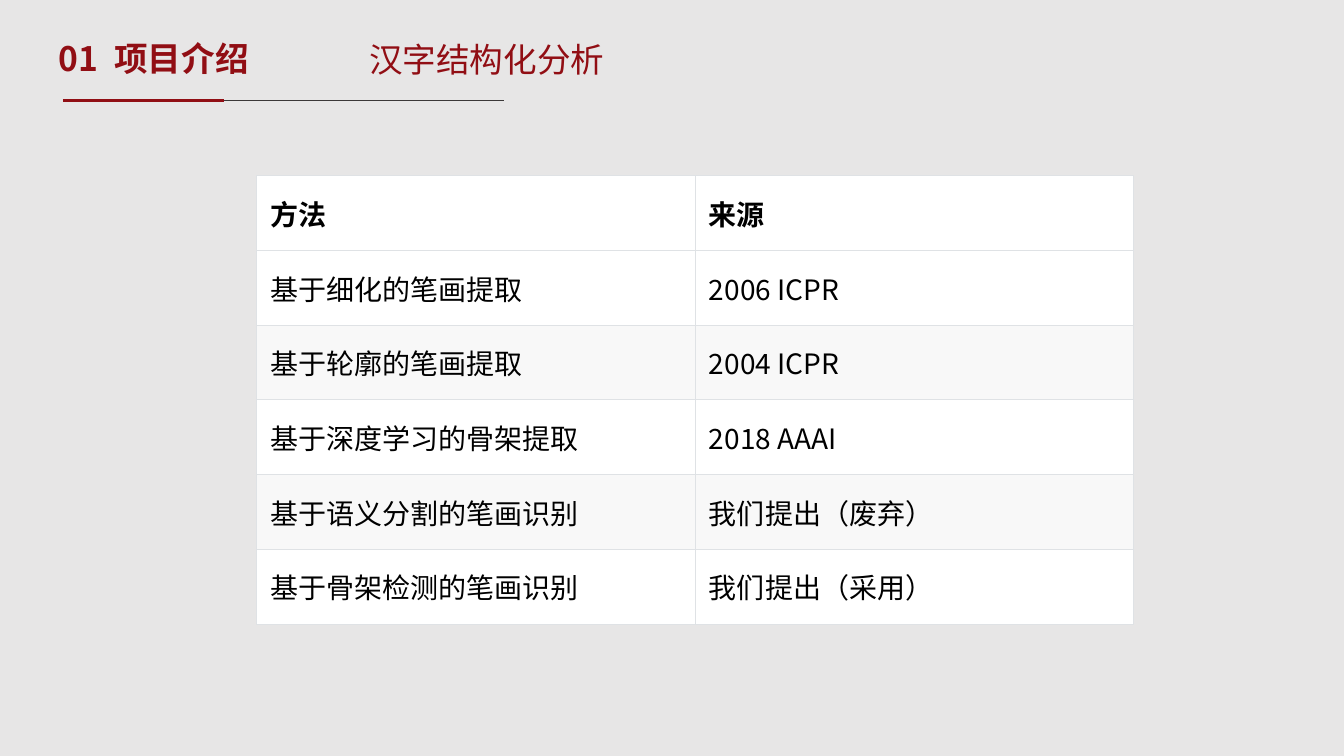
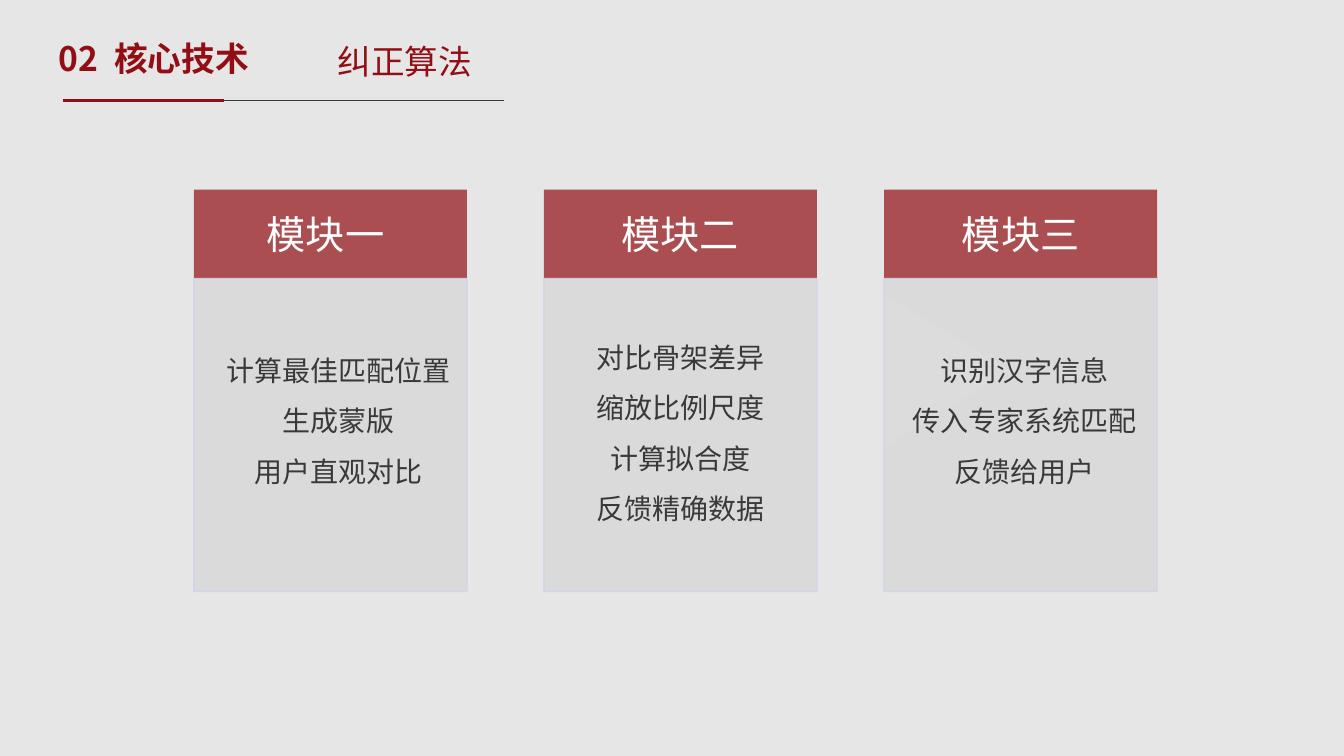
from lxml import etree
from pptx import Presentation, util as u
from pptx.dml import color
from pptx.enum import shapes, text
from pptx.oxml import ns

SANS = "Noto Sans CJK SC"
RED, DARK, BLACK, WHITE = "910E14", "3B3838", "000000", "FFFFFF"
PAPER, CARD, CARD_EDGE = "E7E6E6", "D9D9D9", "CFD5EA"
BAND, GRID = "F8F8F8", "DFE2E5"

HEADING = {"size": u.Pt(24), "name": SANS, "bold": True}
TOPIC = HEADING | {"bold": False}
CARD_TITLE = {"size": u.Pt(28), "name": SANS}
BODY = {"size": u.Pt(20), "name": SANS, "bold": False}

LEFT, CENTER = text.PP_ALIGN.LEFT, text.PP_ALIGN.CENTER
MIDDLE = text.MSO_ANCHOR.MIDDLE

METHODS = [
    ("方法", "来源"),
    ("基于细化的笔画提取", "2006 ICPR"),
    ("基于轮廓的笔画提取", "2004 ICPR"),
    ("基于深度学习的骨架提取", "2018 AAAI"),
    ("基于语义分割的笔画识别", "我们提出（废弃）"),
    ("基于骨架检测的笔画识别", "我们提出（采用）"),
]
MODULES = [
    {"left": 138.5, "title": "模块一", "title_box": (22, 11.5, 144, 41),
     "body_box": (12, 101.5, 183, 112),
     "lines": ["计算最佳匹配位置", "生成蒙版", "用户直观对比"]},
    {"left": 388.5, "title": "模块二", "title_box": (25.5, 11, 144, 41),
     "body_box": (17.5, 92, 160, 148),
     "lines": ["对比骨架差异", "缩放比例尺度", "计算拟合度", "反馈精确数据"]},
    {"left": 631.5, "title": "模块三", "title_box": (25.5, 11, 144, 41),
     "body_box": (13, 101.5, 175, 112),
     "lines": ["识别汉字信息", "传入专家系统匹配反馈给用户"]},
]


def rgb(value):
    """Turn a hex string into a colour."""
    return color.RGBColor.from_string(value)


def points(*values):
    """Turn numbers into lengths in points."""
    return [u.Pt(value) for value in values]


def add_child(parent, tag, **attributes):
    """Append a drawing element with attributes."""
    return etree.SubElement(parent, ns.qn(tag), attributes)


def paint(fill, value, opacity=100):
    """Fill with one colour at a percentage of opacity."""
    fill.solid()
    fill.fore_color.rgb = rgb(value)
    if opacity < 100:
        for node in fill._xPr.iter(ns.qn("a:srgbClr")):
            add_child(node, "a:alpha", val=str(opacity * 1000))


def write(frame, lines, style, ink, align=LEFT, spacing=1.0):
    """Write formatted paragraphs into a text frame."""
    frame.word_wrap = True
    for index, line in enumerate(lines):
        paragraph = frame.add_paragraph() if index else frame.paragraphs[0]
        paragraph.alignment = align
        paragraph.line_spacing = spacing
        run = paragraph.add_run()
        run.text = line
        for name, value in style.items():
            setattr(run.font, name, value)
        run.font.color.rgb = rgb(ink)
        add_child(run._r.get_or_add_rPr(), "a:ea", typeface=style["name"])


def add_label(slide, box, lines, style, ink, align=LEFT, spacing=1.0, anchor=None):
    """Add a text box."""
    shape = slide.shapes.add_textbox(*points(*box))
    write(shape.text_frame, lines, style, ink, align, spacing)
    shape.text_frame.vertical_anchor = anchor


def add_panel(slide, kind, box, fill, opacity=100, edge=None):
    """Add a preset shape without shadow."""
    shape = slide.shapes.add_shape(kind, *points(*box))
    shape.shadow.inherit = False
    paint(shape.fill, fill, opacity)
    if edge:
        paint(shape.line.fill, edge, opacity)
        shape.line.width = u.Pt(1)
    else:
        shape.line.fill.background()
    return shape


def add_rule(slide, left, top, length, ink, weight):
    """Draw a horizontal line."""
    line = slide.shapes.add_connector(
        shapes.MSO_CONNECTOR.STRAIGHT, *points(left, top, left + length, top))
    line.line.color.rgb = rgb(ink)
    line.line.width = u.Pt(weight)
    add_child(line._element.spPr, "a:effectLst")


def add_header(slide, number, section, topic, topic_left, topic_top):
    """Place the section title, topic and rules."""
    title = slide.shapes.title
    box = points(34.5, 19, 713, 49)
    for name, value in zip(("left", "top", "width", "height"), box):
        setattr(title, name, value)
    frame = title.text_frame
    frame.vertical_anchor = MIDDLE
    tabs = add_child(frame.paragraphs[0]._p.get_or_add_pPr(), "a:tabLst")
    add_child(tabs, "a:tab", pos=str(u.Pt(40)), algn="l")
    write(frame, [f"{number}\t{section}"], HEADING, RED, spacing=0.9)
    add_rule(slide, 45, 71.5, 315, DARK, 0.5)
    add_rule(slide, 45, 71.5, 115, RED, 2.25)
    add_label(slide, (topic_left, topic_top, 400, 49), [topic], TOPIC, RED,
              spacing=0.9, anchor=MIDDLE)


def add_borders(cell):
    """Draw the four edges of a table cell."""
    properties = cell._tc.get_or_add_tcPr()
    for side in "LRTB":
        edge = add_child(properties, f"a:ln{side}", w=str(u.Pt(0.75)))
        add_child(add_child(edge, "a:solidFill"), "a:srgbClr", val=GRID)


def add_methods(slide, box, rows):
    """Place the table of methods and sources."""
    table = slide.shapes.add_table(len(rows), len(rows[0]), *points(*box)).table
    table.horz_banding = False
    margins = dict(zip(("margin_left", "margin_top", "margin_right", "margin_bottom"),
                       points(9.75, 4.5, 9.75, 4.5)))
    for row_index, row in enumerate(rows):
        table.rows[row_index].height = u.Pt(box[3] / len(rows))
        for column_index, value in enumerate(row):
            cell = table.cell(row_index, column_index)
            for name, margin in margins.items():
                setattr(cell, name, margin)
            cell.vertical_anchor = MIDDLE
            add_borders(cell)
            banded = row_index and row_index % 2 == 0
            paint(cell.fill, BAND if banded else WHITE)
            write(cell.text_frame, [value], BODY | {"bold": row_index == 0}, BLACK)


def add_module(slide, box, module):
    """Place one card with its heading and steps."""
    left, top, width, height = box
    head = 63.5
    kind = shapes.MSO_SHAPE.RECTANGLE
    add_panel(slide, kind, (left, top, width, head), RED, 70)
    add_panel(slide, kind, (left, top + head, width, height - head), CARD, 90, CARD_EDGE)
    for key, lines, style, ink, spacing in (
            ("title_box", [module["title"]], CARD_TITLE, WHITE, 1.0),
            ("body_box", module["lines"], BODY, DARK, 1.5)):
        across, down, *size = module[key]
        add_label(slide, (left + across, top + down, *size), lines, style, ink,
                  CENTER, spacing)


def add_modules(slide, top, width, height):
    """Place the row of cards over the arrow mark."""
    last = MODULES[-1]["left"]
    mark = add_panel(slide, shapes.MSO_SHAPE.ISOSCELES_TRIANGLE,
                     (last - 10, top + 84.5, 109.5, 89.5), WHITE)
    mark.rotation = 90
    for module in MODULES:
        add_module(slide, (module["left"], top, width, height), module)


def main():
    """Build and save the presentation."""
    presentation = Presentation()
    presentation.slide_width, presentation.slide_height = points(960, 540)
    layout = presentation.slide_layouts[5]
    paint(layout.background.fill, PAPER)

    slide = presentation.slides.add_slide(layout)
    add_header(slide, "01", "项目介绍", "汉字结构化分析", 256.5, 19.5)
    add_methods(slide, (183.5, 125.5, 626.4, 320.4), METHODS)

    slide = presentation.slides.add_slide(layout)
    add_header(slide, "02", "核心技术", "纠正算法", 234, 21)
    add_modules(slide, 135.5, 195, 287)

    presentation.save("out.pptx")


if __name__ == "__main__":
    main()
